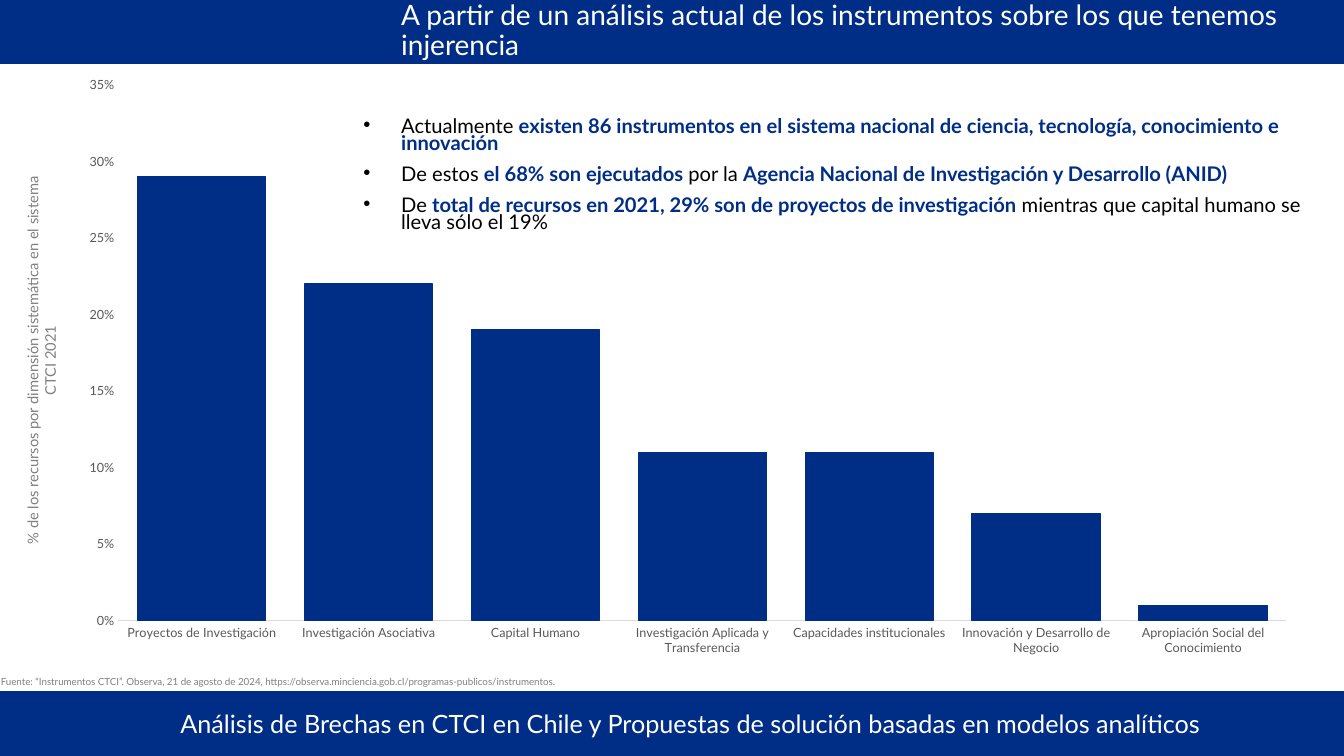
from lxml.etree import SubElement
from pptx import Presentation
from pptx.chart.data import CategoryChartData
from pptx.dml.color import RGBColor
from pptx.enum.chart import XL_CHART_TYPE, XL_TICK_MARK
from pptx.enum.shapes import MSO_SHAPE
from pptx.enum.text import MSO_ANCHOR, PP_ALIGN
from pptx.oxml.ns import qn
from pptx.util import Cm, Pt

HUES = {"navy": "002E86", "white": "FFFFFF", "black": "000000",
        "gray": "808080", "label": "595959", "rule": "D9D9D9"}
FACE = "Lato"
WIDE, HIGH, BAND = 33.87, 19.05, 1.6

SHARES = {
    "Proyectos de Investigación": 0.29,
    "Investigación Asociativa": 0.22,
    "Capital Humano": 0.19,
    "Investigación Aplicada y Transferencia": 0.11,
    "Capacidades institucionales": 0.11,
    "Innovación y Desarrollo de Negocio": 0.07,
    "Apropiación Social del Conocimiento": 0.01,
}
POINTS = [
    [("Actualmente ", False),
     ("existen 86 instrumentos en el sistema nacional de ciencia, "
      "tecnología, conocimiento e innovación", True)],
    [("De estos ", False), ("el 68% son ejecutados ", True), ("por la ", False),
     ("Agencia Nacional de Investigación y Desarrollo (ANID)", True)],
    [("De ", False),
     ("total de recursos en 2021, 29% son de proyectos de investigación ", True),
     ("mientras que capital humano se lleva sólo el 19%", False)],
]


def hue(name):
    return RGBColor.from_string(HUES[name])


def apply(item, style):
    for key, value in style.items():
        setattr(item, key, value)


def set_font(font, size, color, bold=False):
    apply(font, {"name": FACE, "size": Pt(size), "bold": bold})
    font.color.rgb = hue(color)


def set_line(line, color, width):
    line.color.rgb = hue(color)
    line.width = Pt(width)


def add_band(slide, top):
    band = slide.shapes.add_shape(
        MSO_SHAPE.RECTANGLE, 0, Cm(top), Cm(WIDE), Cm(BAND))
    band.shadow.inherit = False
    band.fill.solid()
    band.fill.fore_color.rgb = hue("navy")
    set_line(band.line, "navy", 1.5)


def add_box(slide, place, style=None):
    box = slide.shapes.add_textbox(*map(Cm, place))
    apply(box.text_frame, {"word_wrap": True, **(style or {})})
    return box


def add_text(slide, place, text, size, color, style=None, frame=None):
    box = add_box(slide, place, frame)
    line = box.text_frame.paragraphs[0]
    apply(line, style or {})
    run = line.add_run()
    run.text = text
    set_font(run.font, size, color)
    return box


def add_mark(line):
    props = line._p.get_or_add_pPr()
    props.set("marL", str(Cm(1.27)))
    props.set("indent", str(-Cm(0.95)))
    tint = SubElement(props, qn("a:buClr"))
    SubElement(tint, qn("a:srgbClr"), val=HUES["black"])
    SubElement(props, qn("a:buFont"), typeface="Arial")
    SubElement(props, qn("a:buChar"), char="•")


def add_list(slide, place, items):
    frame = add_box(slide, place, {"margin_top": Cm(0.81)}).text_frame
    for rank, parts in enumerate(items):
        line = frame.add_paragraph() if rank else frame.paragraphs[0]
        apply(line, {"line_spacing": 0.7, "space_before": Pt(10 if rank else 0)})
        add_mark(line)
        for text, bold in parts:
            run = line.add_run()
            run.text = text
            set_font(run.font, 14.4, "navy" if bold else "black", bold)


def fix_plot(chart):
    area = chart._chartSpace.chart.plotArea
    for old in area.findall(qn("c:layout")):
        area.remove(old)
    layout = SubElement(area, qn("c:layout"))
    area.insert(0, layout)
    manual = SubElement(layout, qn("c:manualLayout"))
    rules = {"layoutTarget": "inner", "xMode": "edge", "yMode": "edge",
             "x": "0.043", "y": "0.034", "w": "0.937", "h": "0.887"}
    for tag, value in rules.items():
        SubElement(manual, qn("c:" + tag), val=value)


def add_bars(slide, place, shares):
    data = CategoryChartData(number_format="0%")
    data.categories = list(shares)
    data.add_series("Series 1", list(shares.values()))
    chart = slide.shapes.add_chart(
        XL_CHART_TYPE.COLUMN_CLUSTERED, *map(Cm, place), data).chart
    apply(chart, {"has_legend": False, "has_title": False})
    set_font(chart.font, 10, "black")
    plot = chart.plots[0]
    apply(plot, {"gap_width": 30, "overlap": -27, "vary_by_categories": False})
    bars = plot.series[0].format
    bars.fill.solid()
    bars.fill.fore_color.rgb = hue("navy")
    set_line(bars.line, "navy", 0.75)
    for axis in (chart.category_axis, chart.value_axis):
        apply(axis, {"has_major_gridlines": False,
                     "major_tick_mark": XL_TICK_MARK.NONE,
                     "minor_tick_mark": XL_TICK_MARK.NONE})
        set_font(axis.tick_labels.font, 9, "label")
    set_line(chart.category_axis.format.line, "rule", 0.75)
    scale = chart.value_axis
    apply(scale, {"minimum_scale": 0, "maximum_scale": 0.35, "major_unit": 0.05})
    apply(scale.tick_labels, {"number_format": "0%",
                              "number_format_is_linked": False})
    scale.format.line.fill.background()
    fix_plot(chart)


def main():
    deck = Presentation()
    apply(deck, {"slide_width": Cm(WIDE), "slide_height": Cm(HIGH)})
    slide = deck.slides.add_slide(deck.slide_layouts[6])
    center = {"alignment": PP_ALIGN.CENTER}

    add_bars(slide, (1.63, 1.63, 31.42, 15.21), SHARES)
    for top in (0, HIGH - BAND):
        add_band(slide, top)
    add_text(slide, (9.86, 0, 24, BAND),
             "A partir de un análisis actual de los instrumentos "
             "sobre los que tenemos injerencia",
             20, "white", {"line_spacing": 0.9},
             {"vertical_anchor": MSO_ANCHOR.MIDDLE})
    add_list(slide, (8.59, 2.21, 24.46, 3.91), POINTS)
    add_text(slide, (1.98, 17.73, 30.84, 1.02),
             "Análisis de Brechas en CTCI en Chile y Propuestas de solución "
             "basadas en modelos analíticos", 18, "white", center)
    label = add_text(slide, (-4.14, 8.51, 10.36, 1.14),
                     "% de los recursos por dimensión sistemática "
                     "en el sistema CTCI 2021", 10.5, "gray", center)
    label.rotation = 270
    add_text(slide, (-0.23, 16.89, 33.68, 0.56),
             "Fuente: “Instrumentos CTCI”. Observa, 21 de agosto de 2024, "
             "https://observa.minciencia.gob.cl/programas-publicos/instrumentos.",
             7, "gray")
    deck.save("out.pptx")


if __name__ == "__main__":
    main()
